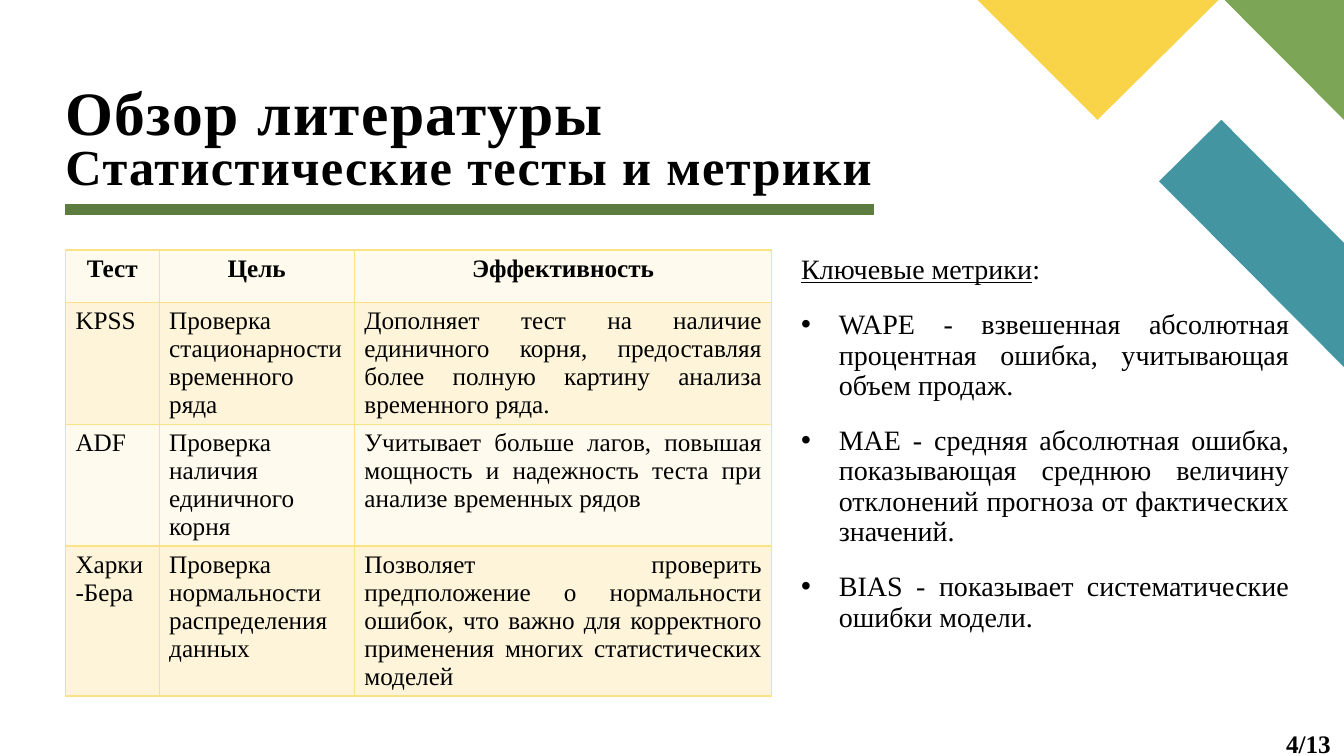
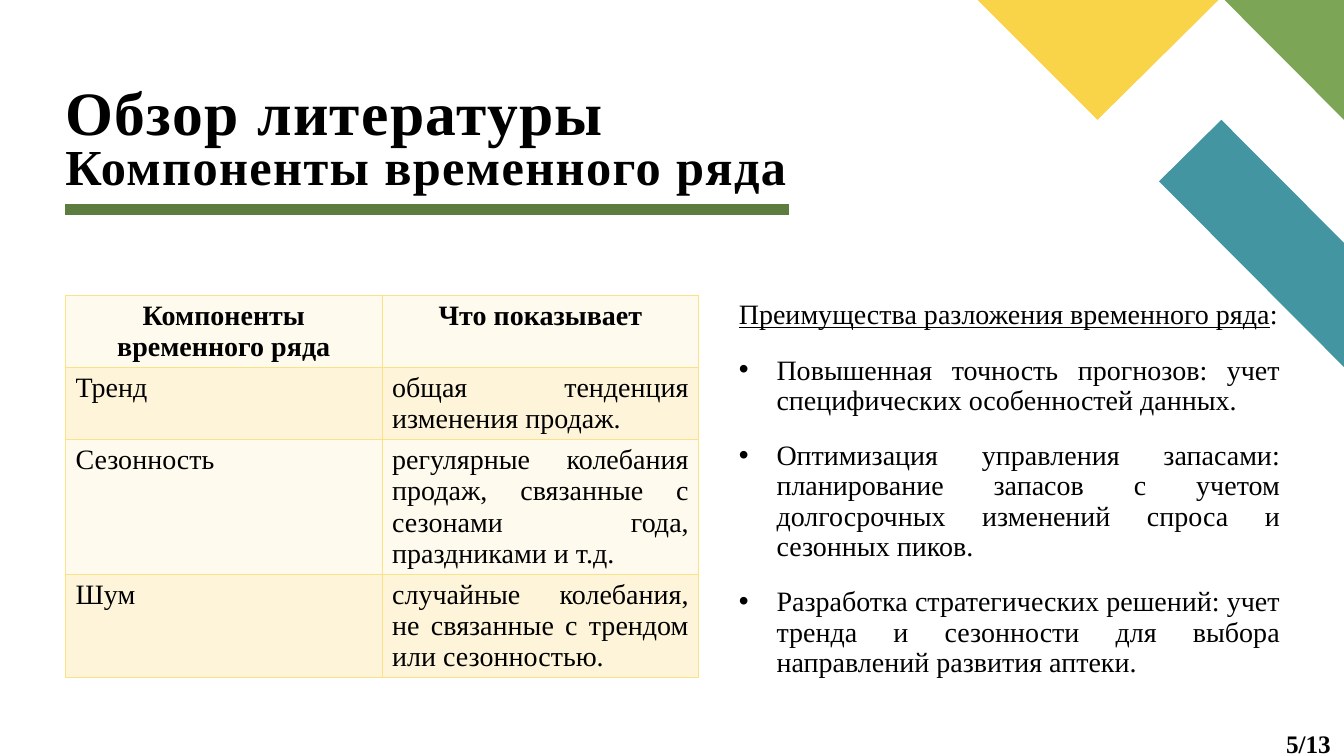
from lxml import etree
from pptx import Presentation
from pptx.dml.color import RGBColor
from pptx.enum import shapes, text
from pptx.oxml import ns
from pptx.util import Cm, Pt

FONT = "Times New Roman"
BLACK = "000000"
RULE_GREEN = "5D7D40"
TABLE_FILLS = ("FEFAED", "FDF4D9")
TABLE_BORDER = "FBE284"
LEFT = 1.65
CORNER_BANDS = (
    ("4495A2", [(33.87, 9.25), (33.87, 6.12), (30.78, 3.02), (29.21, 4.57)]),
    ("7CA655", [(33.87, 3.02), (33.87, 0), (30.86, 0)]),
    ("F9D448", [(24.64, 0), (27.66, 3.02), (30.71, 0)]),
)
SLIDES = (
    {
        "subtitle": "Статистические тесты и метрики",
        "rule_width": 20.37,
        "table": {
            "box": (LEFT, 6.3),
            "size": 18,
            "columns": (2.36, 4.92, 10.52),
            "heights": (1.32, 3.07, 3.07, 3.78),
            "rows": (
                ("Тест", "Цель", "Эффективность"),
                ("KPSS", "Проверка стационарности временного ряда",
                 "Дополняет тест на наличие единичного корня, предоставляя более "
                 "полную картину анализа временного ряда."),
                ("ADF", "Проверка наличия единичного корня",
                 "Учитывает больше лагов, повышая мощность и надежность теста "
                 "при анализе временных рядов"),
                ("Харки-Бера", "Проверка нормальности распределения данных",
                 "Позволяет проверить предположение о нормальности ошибок, что "
                 "важно для корректного применения многих статистических моделей"),
            ),
        },
        "notes_box": (20.19, 6.3, 12.55, 11.99),
        "heading": "Ключевые метрики",
        "bullets": (
            "WAPE - взвешенная абсолютная процентная ошибка, учитывающая объем продаж.",
            "MAE - средняя абсолютная ошибка, показывающая среднюю величину "
            "отклонений прогноза от фактических значений.",
            "BIAS - показывает систематические ошибки модели.",
        ),
        "page": "4/13",
    },
    {
        "subtitle": "Компоненты временного ряда",
        "rule_width": 18.24,
        "table": {
            "box": (LEFT, 7.44),
            "size": 20,
            "columns": (7.98, 7.98),
            "heights": (1.82, 1.82, 3.38, 2.6),
            "rows": (
                ("Компоненты временного ряда", "Что показывает"),
                ("Тренд", "общая тенденция изменения продаж."),
                ("Сезонность", "регулярные колебания продаж, связанные с сезонами "
                 "года, праздниками и т.д."),
                ("Шум", "случайные колебания, не связанные с трендом или "
                 "сезонностью."),
            ),
        },
        "notes_box": (18.62, 7.44, 13.89, 10.34),
        "heading": "Преимущества разложения временного ряда",
        "bullets": (
            "Повышенная точность прогнозов: учет специфических особенностей данных.",
            "Оптимизация управления запасами: планирование запасов с учетом "
            "долгосрочных изменений спроса и сезонных пиков.",
            "Разработка стратегических решений: учет тренда и сезонности для "
            "выбора направлений развития аптеки.",
        ),
        "page": "5/13",
    },
)


def color(value):
    """Turn a hex string into a colour."""
    return RGBColor.from_string(value)


def apply(target, **formats):
    """Set every given attribute on the target."""
    for name, value in formats.items():
        setattr(target, name, value)


def add_element(parent, tag, **attributes):
    """Append a DrawingML element to the parent."""
    return etree.SubElement(parent, ns.qn(tag), attributes)


def add_run(paragraph, words, size, **formats):
    """Add a black run in the shared font."""
    run = paragraph.add_run()
    run.text = words
    apply(run.font, name=FONT, size=Pt(size), **formats)
    run.font.color.rgb = color(BLACK)
    return run


def set_frame(frame, margins, **formats):
    """Set the margins and layout of a text frame."""
    names = ("margin_left", "margin_top", "margin_right", "margin_bottom")
    apply(frame, **{name: Cm(margin) for name, margin in zip(names, margins)})
    apply(frame, auto_size=text.MSO_AUTO_SIZE.NONE, **formats)


def add_corner_bands(slide):
    """Draw the coloured bands in the upper right corner."""
    for fill, points in CORNER_BANDS:
        corners = [(Cm(x), Cm(y)) for x, y in points]
        builder = slide.shapes.build_freeform(*corners[0])
        builder.add_line_segments(corners[1:], close=True)
        band = builder.convert_to_shape()
        band.shadow.inherit = False
        band.fill.solid()
        band.fill.fore_color.rgb = color(fill)
        band.line.fill.background()


def add_title(slide, subtitle, rule_width):
    """Format the two-line title and draw the rule below it."""
    title = slide.shapes.title
    apply(title, left=Cm(LEFT), top=Cm(0.56), width=Cm(30.48), height=Cm(4.37))
    set_frame(title.text_frame, (0, 0, 0, 0), word_wrap=True,
              vertical_anchor=text.MSO_ANCHOR.BOTTOM)
    paragraph = title.text_frame.paragraphs[0]
    apply(paragraph, alignment=text.PP_ALIGN.LEFT, line_spacing=0.8)
    runs = [add_run(paragraph, "Обзор литературы", 44, bold=True)]
    paragraph.add_line_break()
    runs.append(add_run(paragraph, subtitle, 36, bold=True))
    for run in runs:
        run.font._element.set("spc", "100")
    rule = slide.shapes.add_connector(
        shapes.MSO_CONNECTOR.STRAIGHT,
        Cm(LEFT), Cm(5.27), Cm(LEFT + rule_width), Cm(5.27))
    rule.line.color.rgb = color(RULE_GREEN)
    rule.line.width = Pt(8)
    add_element(rule._element.spPr, "a:effectLst")


def format_cell(cell, words, size, fill, header):
    """Write one table cell with its borders and fill."""
    paragraph = cell.text_frame.paragraphs[0]
    paragraph.alignment = text.PP_ALIGN.CENTER if header else text.PP_ALIGN.JUSTIFY
    add_run(paragraph, words, size, bold=header)
    properties = cell._tc.get_or_add_tcPr()
    for side in ("a:lnL", "a:lnR", "a:lnT", "a:lnB"):
        border = add_element(properties, side, w=str(Pt(1)))
        border_fill = add_element(border, "a:solidFill")
        add_element(border_fill, "a:srgbClr", val=TABLE_BORDER)
    cell.fill.solid()
    cell.fill.fore_color.rgb = color(fill)


def add_grid(slide, box, size, columns, heights, rows):
    """Add a table with alternating row fills."""
    left, top = box
    table = slide.shapes.add_table(
        len(rows), len(columns), Cm(left), Cm(top),
        Cm(sum(columns)), Cm(sum(heights))).table
    apply(table, first_row=False, horz_banding=False)
    for column, width in zip(table.columns, columns):
        column.width = Cm(width)
    for index, (row, height, words) in enumerate(zip(table.rows, heights, rows)):
        row.height = Cm(height)
        for cell, value in zip(row.cells, words):
            format_cell(cell, value, size, TABLE_FILLS[index % 2], index == 0)


def add_notes(slide, box, heading, bullets):
    """Add an underlined heading followed by bullets."""
    frame = slide.shapes.add_textbox(*map(Cm, box)).text_frame
    set_frame(frame, (0, 0.13, 0.25, 0.13), word_wrap=True)
    layout = {"alignment": text.PP_ALIGN.JUSTIFY, "line_spacing": 0.9,
              "space_before": Pt(18)}
    paragraph = frame.paragraphs[0]
    apply(paragraph, **layout)
    add_run(paragraph, heading, 20, underline=True)
    add_run(paragraph, ":", 20)
    for words in bullets:
        paragraph = frame.add_paragraph()
        apply(paragraph, **layout)
        properties = paragraph._p.get_or_add_pPr()
        properties.set("marL", str(Cm(0.95)))
        properties.set("indent", str(-Cm(0.95)))
        add_element(properties, "a:buFont", typeface="Arial")
        add_element(properties, "a:buChar", char="•")
        add_run(paragraph, words, 20)


def add_page_number(slide, page):
    """Put the page number in the lower right corner."""
    frame = slide.shapes.add_textbox(Cm(32.41), Cm(18.36), Cm(1.45), Cm(0.69)).text_frame
    set_frame(frame, (0, 0, 0, 0), word_wrap=False)
    add_run(frame.paragraphs[0], page, 18, bold=True)


def add_review_slide(presentation, content):
    """Build one slide with a title, a table and notes."""
    slide = presentation.slides.add_slide(presentation.slide_layouts[5])
    add_corner_bands(slide)
    add_title(slide, content["subtitle"], content["rule_width"])
    add_grid(slide, **content["table"])
    add_notes(slide, content["notes_box"], content["heading"], content["bullets"])
    add_page_number(slide, content["page"])


def main():
    """Build and save the presentation."""
    presentation = Presentation()
    apply(presentation, slide_width=Cm(33.87), slide_height=Cm(19.05))
    for content in SLIDES:
        add_review_slide(presentation, content)
    presentation.save("out.pptx")


if __name__ == "__main__":
    main()
